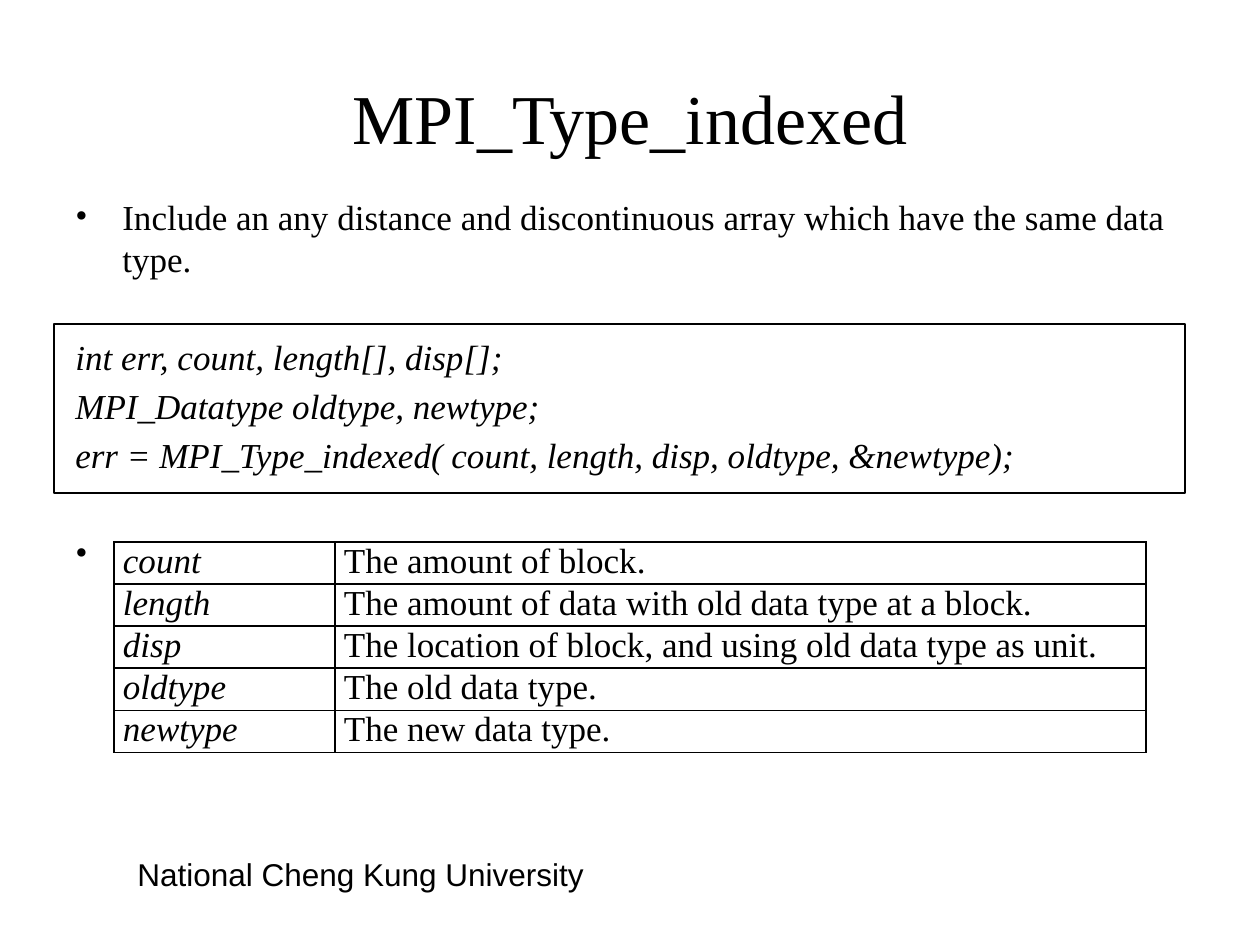
from dataclasses import dataclass

from lxml import etree
from pptx import Presentation
from pptx.dml.color import RGBColor
from pptx.enum.shapes import MSO_SHAPE
from pptx.enum.text import MSO_ANCHOR, PP_ALIGN
from pptx.oxml.ns import qn
from pptx.util import Pt

EMU_PER_PX = 914400 / 126
BLACK = RGBColor(0, 0, 0)
SERIF, SANS = "Times New Roman", "Arial"
CENTER = PP_ALIGN.CENTER
TOP, MIDDLE = MSO_ANCHOR.TOP, MSO_ANCHOR.MIDDLE
RECTANGLE = MSO_SHAPE.RECTANGLE
BORDERS = ("a:lnL", "a:lnR", "a:lnT", "a:lnB")

TITLE_FONT = {"name": SERIF, "size": Pt(40)}
BODY_FONT = {"name": SERIF, "size": Pt(20), "italic": False}
CODE_FONT = {**BODY_FONT, "italic": True}
FOOTER_FONT = {"name": SANS, "size": Pt(18)}

LINE_SPACING = Pt(24)
HANGING = 47
COLUMN_WIDTHS = (221, 811)
ROW_HEIGHT = 39
PARAMETERS = (
    ("count", "The amount of block."),
    ("length", "The amount of data with old data type at a block."),
    ("disp", "The location of block, and using old data type as unit."),
    ("oldtype", "The old data type."),
    ("newtype", "The new data type."),
)


@dataclass(frozen=True)
class Box:
    left: int
    top: int
    width: int
    height: int

    def emu(self) -> tuple:
        return tuple(px(v) for v in (self.left, self.top, self.width, self.height))


@dataclass(frozen=True)
class BodyLine:
    text: str
    font: dict
    space_before: int = 4
    bullet: bool = False


BODY_LINES = (
    BodyLine("Include an any distance and discontinuous array "
             "which have the same data type.", BODY_FONT, 0, True),
    BodyLine("int err, count, length[], disp[];", CODE_FONT, 32),
    BodyLine("MPI_Datatype oldtype, newtype;", CODE_FONT),
    BodyLine("err = MPI_Type_indexed( count, length, disp, oldtype, &newtype);",
             CODE_FONT),
    BodyLine(" ", BODY_FONT, 32, True),
)


def px(value: int) -> int:
    return round(value * EMU_PER_PX)


def add_run(p, text: str, font: dict) -> None:
    r = p.add_run()
    r.text = text
    for name, value in font.items():
        setattr(r.font, name, value)
    r.font.color.rgb = BLACK


def add_text_frame(slide, box: Box, anchor=TOP):
    tf = slide.shapes.add_textbox(*box.emu()).text_frame
    tf.word_wrap = True
    tf.vertical_anchor = anchor
    return tf


def add_label(slide, box: Box, text: str, font: dict, anchor=TOP, align=None) -> None:
    p = add_text_frame(slide, box, anchor).paragraphs[0]
    p.alignment = align
    add_run(p, text, font)


def set_bullet(p, bullet: bool) -> None:
    """Give the paragraph a hanging indent, with or without a bullet."""
    pPr = p._p.get_or_add_pPr()
    pPr.set("marL", str(px(HANGING)))
    pPr.set("indent", str(-px(HANGING)))
    if bullet:
        etree.SubElement(pPr, qn("a:buFont"), typeface=SERIF)
        etree.SubElement(pPr, qn("a:buChar"), char="•")
    else:
        etree.SubElement(pPr, qn("a:buNone"))


def add_body(slide, box: Box) -> None:
    tf = add_text_frame(slide, box)
    for i, line in enumerate(BODY_LINES):
        p = tf.add_paragraph() if i else tf.paragraphs[0]
        set_bullet(p, line.bullet)
        p.line_spacing = LINE_SPACING
        p.space_before = Pt(line.space_before)
        add_run(p, line.text, line.font)


def add_code_frame(slide, box: Box) -> None:
    sp = slide.shapes.add_shape(RECTANGLE, *box.emu())
    sp.shadow.inherit = False
    sp.fill.background()
    sp.line.color.rgb = BLACK
    sp.line.width = Pt(1)


def set_borders(cell) -> None:
    tcPr = cell._tc.get_or_add_tcPr()
    for i, tag in enumerate(BORDERS):
        ln = etree.Element(qn(tag), w=str(Pt(1)))
        fill = etree.SubElement(ln, qn("a:solidFill"))
        etree.SubElement(fill, qn("a:srgbClr"), val=str(BLACK))
        tcPr.insert(i, ln)


def add_parameter_table(slide, left: int, top: int) -> None:
    box = Box(left, top, sum(COLUMN_WIDTHS), ROW_HEIGHT * len(PARAMETERS))
    table = slide.shapes.add_table(
        len(PARAMETERS), len(COLUMN_WIDTHS), *box.emu()).table
    table.first_row = table.horz_banding = False
    for column, width in zip(table.columns, COLUMN_WIDTHS):
        column.width = px(width)
    for row, texts in zip(table.rows, PARAMETERS):
        for cell, text, font in zip(row.cells, texts, (CODE_FONT, BODY_FONT)):
            cell.margin_left = cell.margin_right = px(9)
            cell.margin_top = cell.margin_bottom = 0
            cell.fill.background()
            set_borders(cell)
            add_run(cell.text_frame.paragraphs[0], text, font)


def main() -> None:
    prs = Presentation()
    prs.slide_width, prs.slide_height = px(1260), px(945)
    slide = prs.slides.add_slide(prs.slide_layouts[6])
    add_label(slide, Box(125, 849, 674, 50), "National Cheng Kung University",
              FOOTER_FONT)
    add_label(slide, Box(63, 38, 1134, 158), "MPI_Type_indexed", TITLE_FONT,
              MIDDLE, CENTER)
    add_body(slide, Box(63, 189, 1134, 701))
    add_code_frame(slide, Box(54, 324, 1131, 169))
    add_parameter_table(slide, 114, 542)
    prs.save("out.pptx")


if __name__ == "__main__":
    main()
